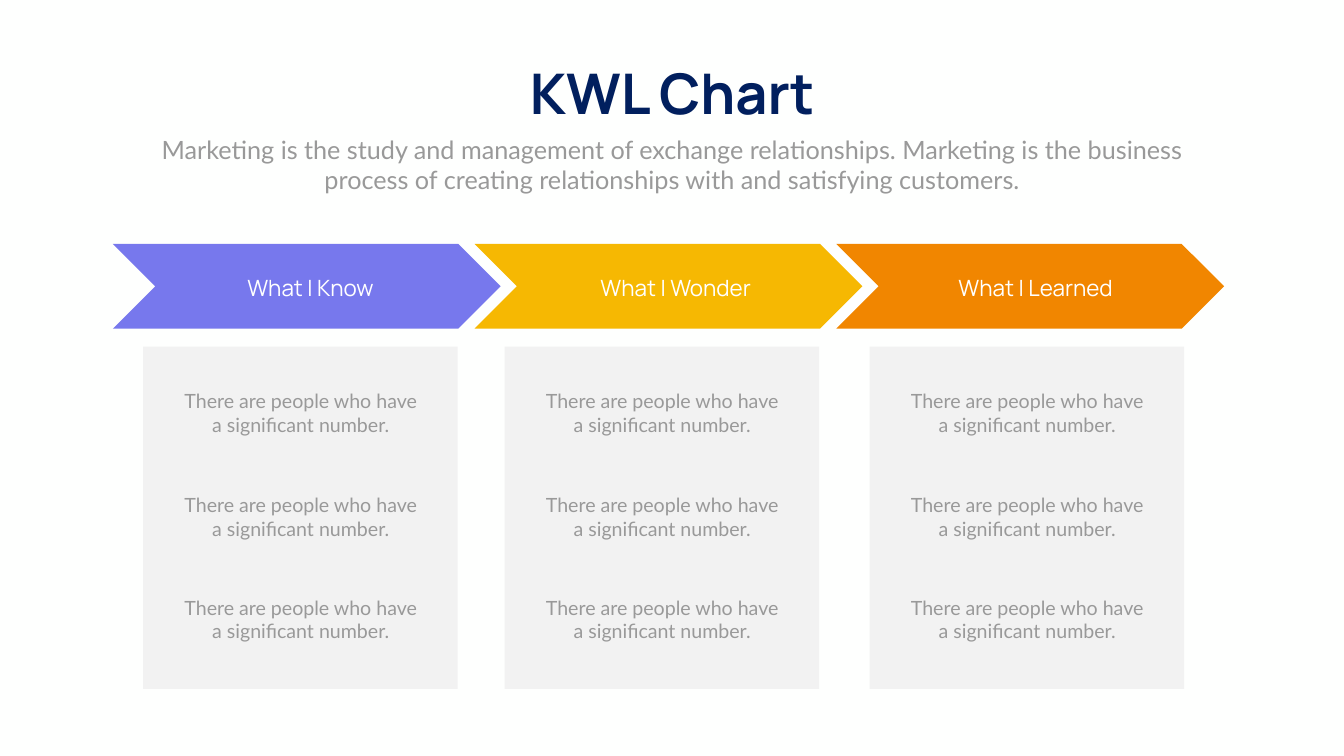
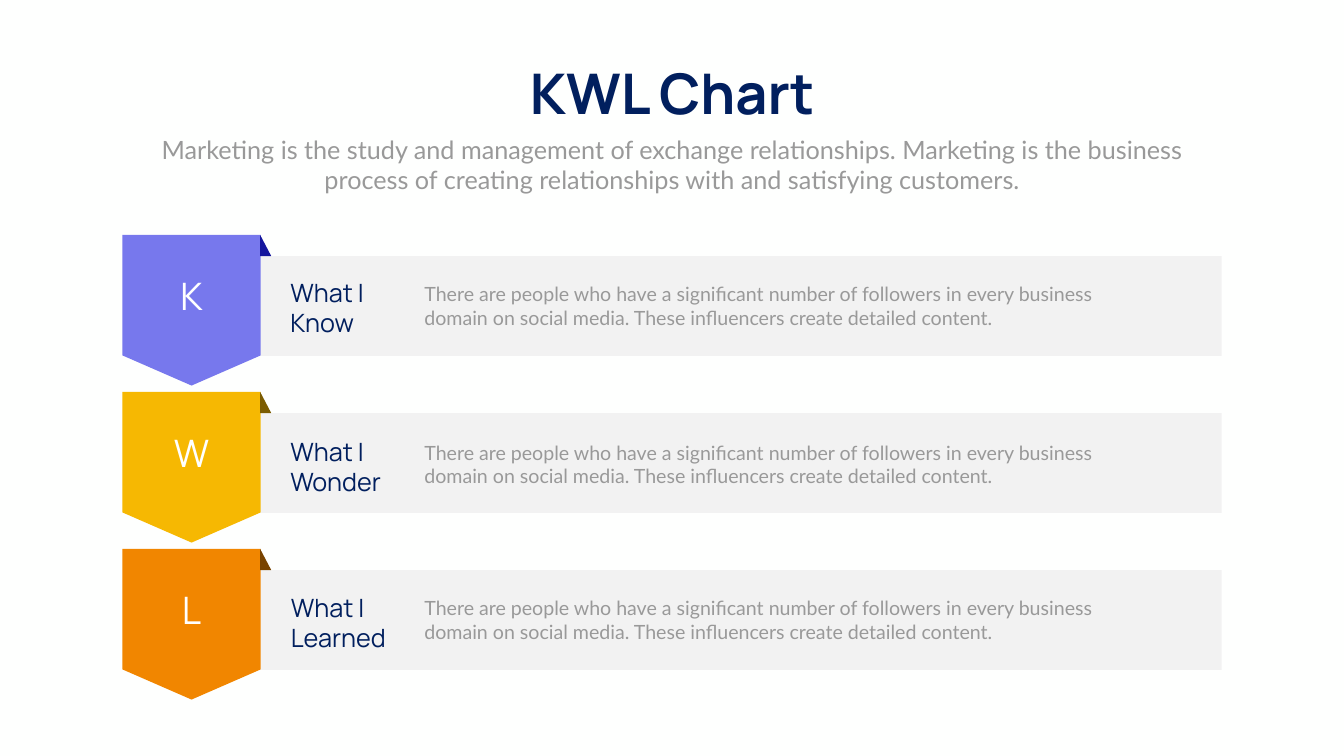
import pptx
import pptx.util
import pptx.dml.color
import pptx.enum.shapes
import pptx.enum.text

Inches = pptx.util.Inches
Shape = pptx.enum.shapes.MSO_SHAPE
Align = pptx.enum.text.PP_ALIGN
Anchor = pptx.enum.text.MSO_ANCHOR
Fit = pptx.enum.text.MSO_AUTO_SIZE

# Content
TITLE = "KWL Chart"
INTRO = ("Marketing is the study and management of exchange relationships. "
         "Marketing is the business process of creating relationships with "
         "and satisfying customers.")
NOTE = "There are people who have a significant number."
DETAIL = ("There are people who have a significant number of followers in "
          "every business domain on social media. These influencers create "
          "detailed content.")

# label, fill, label left, label width, panel left
COLUMNS = [
    ("What I Know", "7778ED", 4.29, 3.74, 2.84),
    ("What I Wonder", "F6B802", 11.02, 4.77, 10.01),
    ("What I Learned", "F18600", 18.34, 4.41, 17.25),
]
NOTE_TOPS = [7.67, 9.74, 11.77]

# letter, heading, fill, fold fill, heading box (left, top, width), detail top
ROWS = [
    ("K", "What I Know", "7778ED", "15169D", (5.66, 5.45, 2.19), 5.55),
    ("W", "What I Wonder", "F6B802", "7B5C01", (5.66, 8.61, 2.79), 8.69),
    ("L", "What I Learned", "F18600", "784300", (5.67, 11.7, 2.58), 11.78),
]

# Shared style
PAPER, NAVY, GREY, PANEL, WHITE = "FEFFFE", "011F5E", "999999", "F2F2F2", "FFFFFF"
HEAD, BODY = "Manrope", "Lato"


def color(text):
    return pptx.dml.color.RGBColor.from_string(text)


def write(frame, text, size, font, ink, align=Align.CENTER, bold=False):
    para = frame.paragraphs[0]
    para.alignment = align
    run = para.add_run()
    run.text = text
    run.font.size = pptx.util.Pt(size)
    run.font.name = font
    run.font.bold = bold
    run.font.color.rgb = color(ink)


def add_text(slide, box, text, size, font, ink, wrap=True, **style):
    frame = slide.shapes.add_textbox(*map(Inches, box)).text_frame
    frame.word_wrap = wrap
    frame.auto_size = Fit.SHAPE_TO_FIT_TEXT
    write(frame, text, size, font, ink, **style)


def add_block(slide, kind, box, fill):
    block = slide.shapes.add_shape(kind, *map(Inches, box))
    block.shadow.inherit = False
    block.fill.solid()
    block.fill.fore_color.rgb = color(fill)
    block.line.fill.background()
    return block


def new_slide(deck):
    slide = deck.slides.add_slide(deck.slide_layouts[6])
    slide.background.fill.solid()
    slide.background.fill.fore_color.rgb = color(PAPER)
    add_text(slide, (10.21, 1.12, 6.25, 1.45), TITLE, 80, HEAD, NAVY,
             wrap=False, bold=True)
    add_text(slide, (2.92, 2.61, 20.82, 1.31), INTRO, 36, BODY, GREY)
    return slide


def add_columns(deck):
    slide = new_slide(deck)
    for i, (label, fill, left, width, panel) in enumerate(COLUMNS):
        # Arrow, its label and the panel below
        add_block(slide, Shape.CHEVRON, (2.24 + 7.175 * i, 4.84, 7.69, 1.68), fill)
        add_block(slide, Shape.RECTANGLE, (panel, 6.88, 6.24, 6.79), PANEL)
        add_text(slide, (left, 5.39, width, 0.64), label, 32, HEAD, WHITE)
        for top in NOTE_TOPS:
            add_text(slide, (panel + 0.62, top, 5.01, 1.04), NOTE, 28, BODY, GREY)


def add_rows(deck):
    slide = new_slide(deck)
    for i, (letter, heading, fill, fold, spot, low) in enumerate(ROWS):
        top = 4.66 + 3.115 * i
        # Band, ribbon with its letter, and the folded corner
        add_block(slide, Shape.RECTANGLE, (4.84, top + 0.42, 19.39, 1.98), PANEL)
        ribbon = add_block(slide, Shape.FLOWCHART_OFFPAGE_CONNECTOR,
                           (2.43, top, 2.74, 2.99), fill)
        ribbon.text_frame.vertical_anchor = Anchor.MIDDLE
        write(ribbon.text_frame, letter, 54, HEAD, WHITE)
        add_block(slide, Shape.RIGHT_TRIANGLE, (5.16, top, 0.22, 0.42), fold)
        # Heading and detail
        add_text(slide, (*spot, 1.31), heading, 36, HEAD, NAVY, align=Align.LEFT)
        add_text(slide, (8.32, low, 14.78, 1.04), DETAIL, 28, BODY, GREY,
                 align=Align.LEFT)


def main():
    deck = pptx.Presentation()
    deck.slide_width, deck.slide_height = Inches(26.66), Inches(15)
    add_columns(deck)
    add_rows(deck)
    deck.save("out.pptx")


if __name__ == "__main__":
    main()
